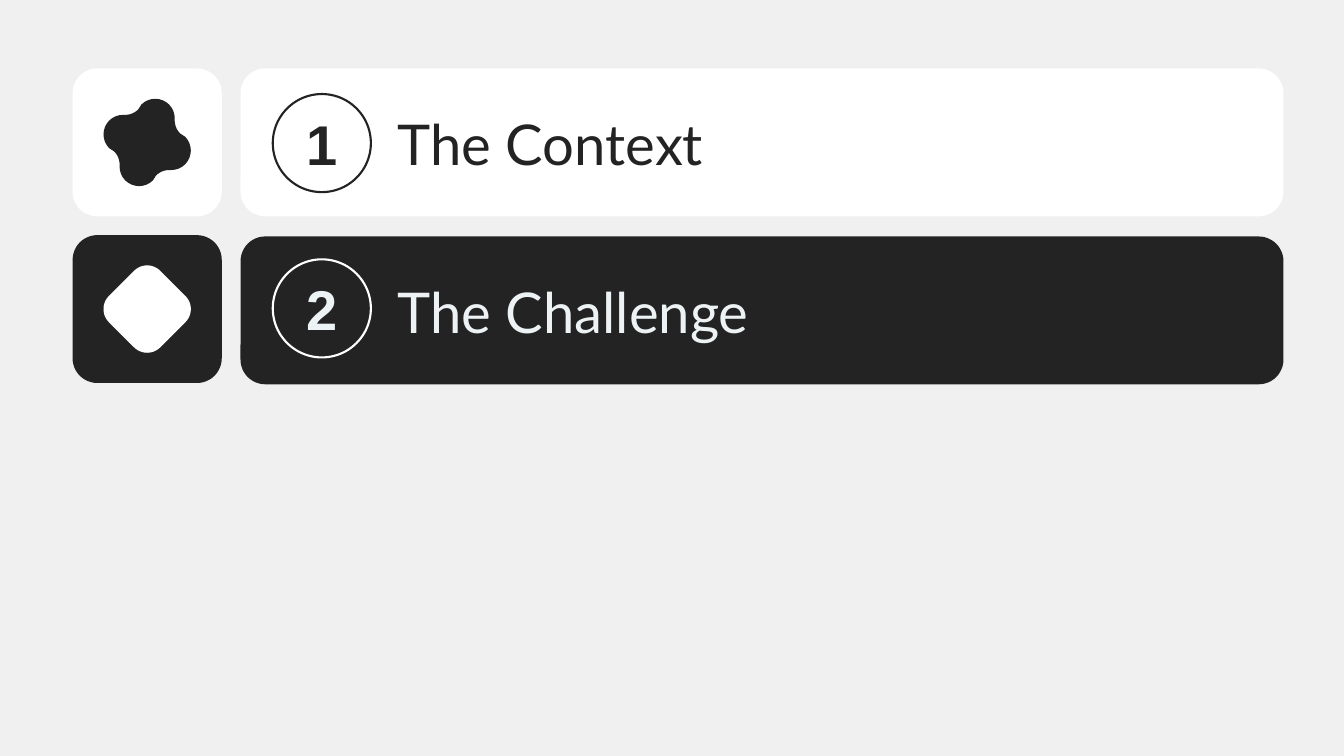
"""Build an agenda slide with two numbered rows, each led by an icon tile."""
from math import cos, radians, sin

from pptx import Presentation
from pptx.dml.color import RGBColor
from pptx.enum.shapes import MSO_SHAPE as Preset
from pptx.enum.text import MSO_ANCHOR as Anchor, MSO_AUTO_SIZE as AutoSize, PP_ALIGN as Align
from pptx.util import Inches, Pt

COLORS = {"ground": "F0F0F0", "ink": "232323", "white": "FFFFFF", "mist": "EDF3F4"}

SLIDE_WIDTH = 10
SLIDE_HEIGHT = SLIDE_WIDTH * 9 / 16
TILE_LEFT, TILE_WIDTH = 0.54, 1.11
BAR_LEFT, BAR_WIDTH = 1.79, 7.76
ROW_HEIGHT, CORNER = 1.1, 0.167
CIRCLE_LEFT, CIRCLE_SIZE = 2.03, 0.73
LABEL_LEFT, LABEL_WIDTH, LABEL_HEIGHT = 2.96, 5.26, 0.51
ICON_CENTER = TILE_LEFT + TILE_WIDTH / 2

TOPS = {"tile": 0.51, "bar": 0.51, "circle": 0.7, "label": 0.81, "icon": 1.06}
PITCHES = {"tile": 1.24, "bar": 1.25, "circle": 1.23, "label": 1.25, "icon": 1.24}

BLOB_ARCS = [(0.06, -0.18, 0.145, 0, -135), (-0.165, -0.345, 0.14, 45, 90)]
DIAMOND_ARCS = [(0.187, 0, 0.138, 45, -45)]
ARC_STEPS = 12

ROWS = [
    {"number": "1", "label": "The Context", "panel": "white", "accent": "ink",
     "text": "ink", "arcs": BLOB_ARCS},
    {"number": "2", "label": "The Challenge", "panel": "ink", "accent": "white",
     "text": "mist", "arcs": DIAMOND_ARCS},
]


def paint(shape, fill=None, line=None):
    shape.shadow.inherit = False
    if fill:
        shape.fill.solid()
        shape.fill.fore_color.rgb = RGBColor.from_string(COLORS[fill])
    else:
        shape.fill.background()
    if line:
        shape.line.color.rgb = RGBColor.from_string(COLORS[line])
        shape.line.width = Pt(1.13)
    else:
        shape.line.fill.background()


def write(shape, text, font="Lato", size=30, color="ink", bold=False, align=Align.LEFT,
          auto_size=AutoSize.NONE):
    frame = shape.text_frame
    frame.word_wrap = True
    frame.auto_size = auto_size
    frame.vertical_anchor = Anchor.MIDDLE
    frame.margin_left = frame.margin_right = frame.margin_top = frame.margin_bottom = 0
    paragraph = frame.paragraphs[0]
    paragraph.alignment = align
    run = paragraph.add_run()
    run.text = text
    run.font.name = font
    run.font.size = Pt(size)
    run.font.bold = bold
    run.font.color.rgb = RGBColor.from_string(COLORS[color])


presentation = Presentation()
presentation.slide_width = Inches(SLIDE_WIDTH)
presentation.slide_height = Inches(SLIDE_HEIGHT)
slide = presentation.slides.add_slide(presentation.slide_layouts[6])
slide.background.fill.solid()
slide.background.fill.fore_color.rgb = RGBColor.from_string(COLORS["ground"])

for index, row in enumerate(ROWS):
    top = {part: TOPS[part] + index * PITCHES[part] for part in TOPS}
    shapes = slide.shapes.add_group_shape().shapes

    for part, left, width in (("bar", BAR_LEFT, BAR_WIDTH), ("tile", TILE_LEFT, TILE_WIDTH)):
        panel = shapes.add_shape(Preset.ROUNDED_RECTANGLE, Inches(left), Inches(top[part]),
                                 Inches(width), Inches(ROW_HEIGHT))
        panel.adjustments[0] = CORNER
        paint(panel, fill=row["panel"])

    circle = shapes.add_shape(Preset.OVAL, Inches(CIRCLE_LEFT), Inches(top["circle"]),
                              Inches(CIRCLE_SIZE), Inches(CIRCLE_SIZE))
    paint(circle, line=row["accent"])
    write(circle, row["number"], font="Arial", color=row["text"], bold=True, align=Align.CENTER)

    label = shapes.add_textbox(Inches(LABEL_LEFT), Inches(top["label"]),
                               Inches(LABEL_WIDTH), Inches(LABEL_HEIGHT))
    write(label, row["label"], size=30.1, color=row["text"], auto_size=AutoSize.SHAPE_TO_FIT_TEXT)

    outline = []
    for quarter in range(4):
        turn = radians(-90 * quarter)
        for center_x, center_y, radius, start, end in row["arcs"]:
            for step in range(ARC_STEPS + 1):
                angle = radians(start + (end - start) * step / ARC_STEPS)
                x = center_x + radius * cos(angle)
                y = center_y + radius * sin(angle)
                outline.append((Inches(ICON_CENTER + x * cos(turn) - y * sin(turn)),
                                Inches(top["icon"] + x * sin(turn) + y * cos(turn))))
    builder = shapes.build_freeform(*outline[0])
    builder.add_line_segments(outline[1:], close=True)
    paint(builder.convert_to_shape(), fill=row["accent"])

presentation.save("out.pptx")
